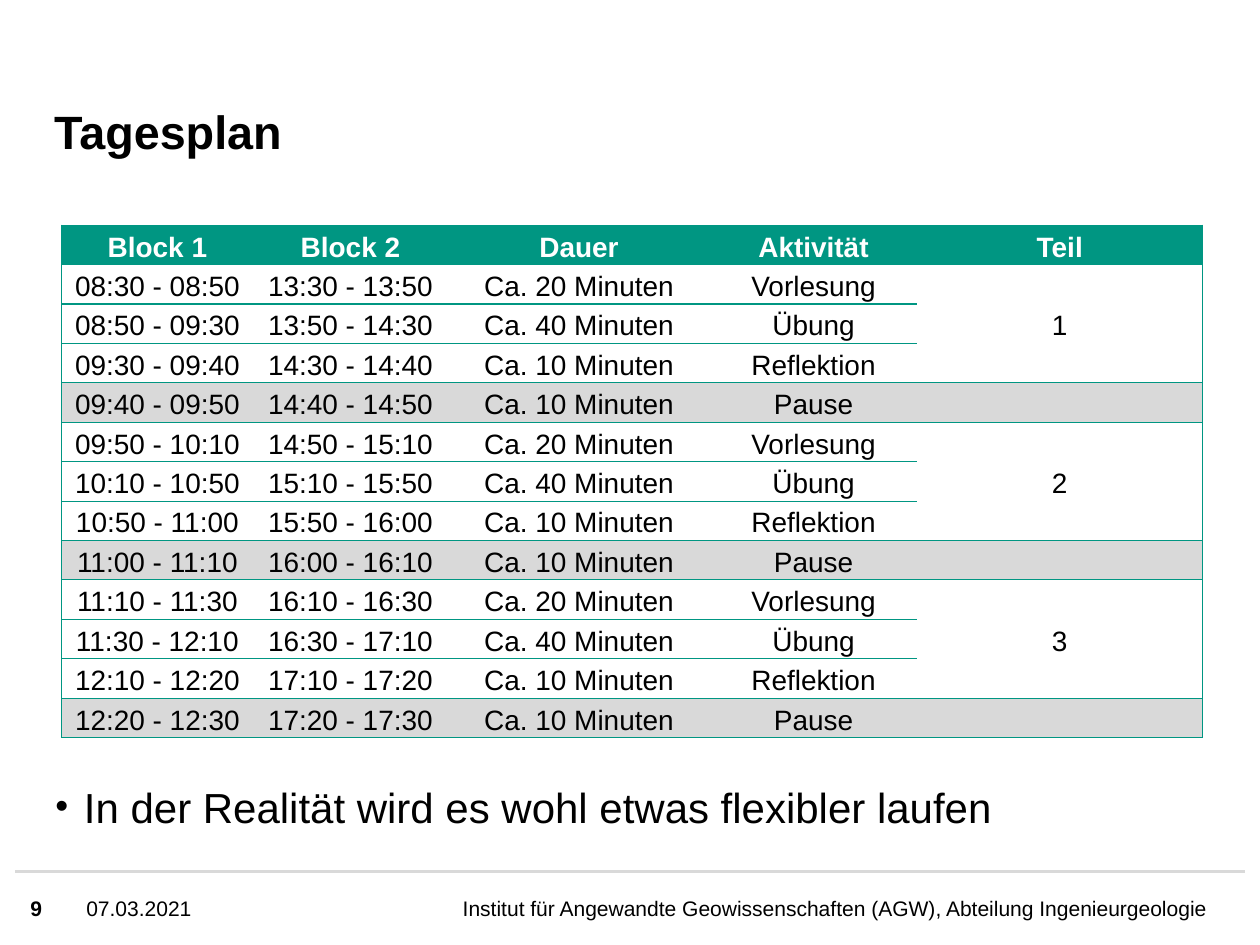
from lxml import etree
from pptx import Presentation
from pptx import util as u
from pptx.dml.color import RGBColor
from pptx.enum import shapes, text
from pptx.oxml import ns

GREEN = RGBColor(0x00, 0x96, 0x82)
GREY = RGBColor(0xD9, 0xD9, 0xD9)
BLACK = RGBColor(0, 0, 0)
WHITE = RGBColor(255, 255, 255)
FONT = "Arial"

HEADINGS = ["Block 1", "Block 2", "Dauer", "Aktivität", "Teil"]
COLUMN_WIDTHS = [82, 83.5, 112.5, 88.5, 122.5]
ACTIVITIES = [("Vorlesung", 20), ("Übung", 40), ("Reflektion", 10), ("Pause", 10)]
PARTS = 3
BLOCK_STARTS = [8 * 60 + 30, 13 * 60 + 30]


def add_xml(parent, tag, **attributes):
    return etree.SubElement(parent, ns.qn(tag), attributes)


def style_paragraph(paragraph, size, color, bold=False, align=text.PP_ALIGN.LEFT):
    paragraph.alignment = align
    for run in paragraph.runs:
        run.font.name = FONT
        run.font.size = u.Pt(size)
        run.font.bold = bold
        run.font.color.rgb = color


def add_line_of_text(slide, box, wording, size, anchor=text.MSO_ANCHOR.MIDDLE, **style):
    frame = slide.shapes.add_textbox(*map(u.Pt, box)).text_frame
    frame.word_wrap = True
    frame.vertical_anchor = anchor
    frame.margin_left = frame.margin_right = frame.margin_top = frame.margin_bottom = 0
    paragraph = frame.paragraphs[0]
    paragraph.text = wording
    style_paragraph(paragraph, size, BLACK, **style)
    return paragraph


def add_title(slide, box):
    title = add_line_of_text(slide, box, "Tagesplan", 20, text.MSO_ANCHOR.BOTTOM, bold=True)
    title.line_spacing = 0.9


def add_remark(slide, box):
    remark = add_line_of_text(slide, box, "In der Realität wird es wohl etwas flexibler laufen",
                              18, text.MSO_ANCHOR.TOP)
    remark.line_spacing = 0.8
    properties = remark._p.get_or_add_pPr()
    indent = u.Pt(12.25)
    properties.set("marL", str(indent))
    properties.set("indent", str(-indent))
    add_xml(properties, "a:buSzPct", val="88000")
    add_xml(properties, "a:buFont", typeface=FONT)
    add_xml(properties, "a:buChar", char="•")


def add_footer(slide, box):
    left, top, width, height = box
    rule = slide.shapes.add_connector(shapes.MSO_CONNECTOR.STRAIGHT, u.Pt(left), u.Pt(top),
                                      u.Pt(left + width), u.Pt(top))
    rule.line.color.rgb = GREY
    rule.line.width = u.Pt(1)
    add_xml(rule._element.spPr, "a:effectLst")
    add_line_of_text(slide, (left + 6.5, top, 19.5, height), "9", 9, bold=True)
    add_line_of_text(slide, (left + 30.5, top, 60, height), "07.03.2021", 9)
    add_line_of_text(slide, (left + 177, top, 333.5, height),
                     "Institut für Angewandte Geowissenschaften (AGW), Abteilung Ingenieurgeologie",
                     9, align=text.PP_ALIGN.RIGHT)


def clock(minutes):
    return f"{minutes // 60:02}:{minutes % 60:02}"


def schedule_rows():
    rows = []
    elapsed = 0
    for part in range(1, PARTS + 1):
        for activity, duration in ACTIVITIES:
            times = [f"{clock(start + elapsed)} - {clock(start + elapsed + duration)}"
                     for start in BLOCK_STARTS]
            label = str(part) if activity == ACTIVITIES[0][0] else ""
            rows.append(times + [f"Ca. {duration} Minuten", activity, label])
            elapsed += duration
    return rows


def set_borders(cell, visible_edges):
    properties = cell._tc.get_or_add_tcPr()
    for edge in "LRTB":
        border = add_xml(properties, f"a:ln{edge}", w=str(u.Pt(0.5)))
        if edge in visible_edges:
            add_xml(add_xml(border, "a:solidFill"), "a:srgbClr", val=str(GREEN))
        else:
            add_xml(border, "a:noFill")


def fill_cell(cell, wording, fill, color, bold):
    if fill is None:
        cell.fill.background()
    else:
        cell.fill.solid()
        cell.fill.fore_color.rgb = fill
    cell.margin_left = cell.margin_right = u.Pt(3.6)
    cell.margin_top = cell.margin_bottom = 0
    cell.vertical_anchor = text.MSO_ANCHOR.MIDDLE
    paragraph = cell.text_frame.paragraphs[0]
    paragraph.line_spacing = 1.15
    if wording:
        paragraph.text = wording
    else:
        add_xml(paragraph._p, "a:endParaRPr", sz="1200")
    style_paragraph(paragraph, 12, color, bold, text.PP_ALIGN.CENTER)


def add_schedule(slide, box):
    rows = [HEADINGS] + schedule_rows()
    table = slide.shapes.add_table(len(rows), len(HEADINGS), *map(u.Pt, box)).table
    table.first_row = table.horz_banding = False
    for column, width in zip(table.columns, COLUMN_WIDTHS):
        column.width = u.Pt(width)
    for row in table.rows:
        row.height = u.Pt(box[3] / len(rows))

    last_column = len(HEADINGS) - 1
    part_rows = len(ACTIVITIES)
    for r, row in enumerate(rows):
        is_heading = r == 0
        is_break = row[3] == "Pause"
        fill = GREEN if is_heading else GREY if is_break else None
        for c, wording in enumerate(row):
            cell = table.cell(r, c)
            edges = "TB"
            if c == 0:
                edges += "L"
            if c == last_column:
                edges = "RTB" if is_heading or is_break or wording else "R"
            set_borders(cell, edges)
            fill_cell(cell, wording, fill, WHITE if is_heading else BLACK, is_heading)

    for first in range(1, len(rows), part_rows):
        table.cell(first, last_column).merge(table.cell(first + part_rows - 2, last_column))


def main():
    deck = Presentation()
    deck.slide_width = u.Pt(540)
    deck.slide_height = u.Pt(405)
    slide = deck.slides.add_slide(deck.slide_layouts[6])
    add_footer(slide, (6.5, 373.5, 527, 31.5))
    add_remark(slide, (23.75, 339, 493, 19.5))
    add_title(slide, (23.25, 23, 406, 45.5))
    add_schedule(slide, (26.5, 96.5, sum(COLUMN_WIDTHS), 219.7))
    deck.save("out.pptx")


if __name__ == "__main__":
    main()
